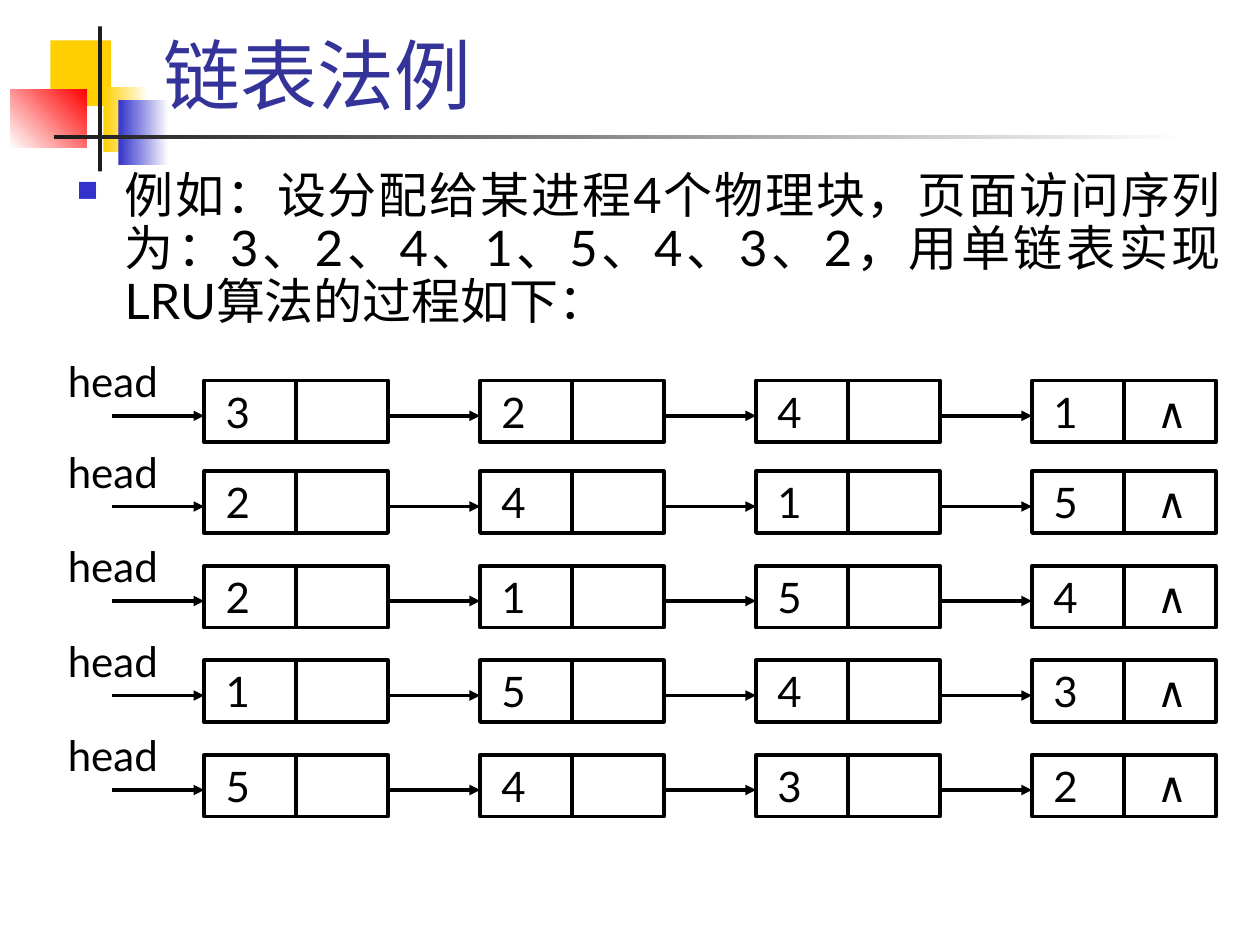
from lxml import etree
from pptx import Presentation
from pptx.dml.color import RGBColor
from pptx.enum.lang import MSO_LANGUAGE_ID
from pptx.enum.shapes import MSO_CONNECTOR, MSO_SHAPE
from pptx.enum.text import MSO_ANCHOR, PP_ALIGN
from pptx.oxml.ns import qn
from pptx.util import Inches, Pt

RECTANGLE = MSO_SHAPE.RECTANGLE
STRAIGHT = MSO_CONNECTOR.STRAIGHT
TOP, MIDDLE, BOTTOM = MSO_ANCHOR.TOP, MSO_ANCHOR.MIDDLE, MSO_ANCHOR.BOTTOM
LEFT, CENTER, JUSTIFY = PP_ALIGN.LEFT, PP_ALIGN.CENTER, PP_ALIGN.JUSTIFY
CHINESE = MSO_LANGUAGE_ID.SIMPLIFIED_CHINESE

COLORS = {
    "black": "000000", "white": "FFFFFF", "dark": "1C1C1C", "title": "333399",
    "yellow": "FFCF01", "blue": "3333CC", "red": "FF0000",
}

# The slide is a grid of 100 columns by 75 rows
CELL = 0.1

# Decoration: left, top, width, height, colours, gradient angle
DECORATION = [
    (4, 3.2, 4.8, 5.2, ["yellow"], 0),
    (8.2, 6.9, 3.6, 5.2, ["yellow", "white"], 0),
    (9.4, 7.9, 4, 5.2, ["blue", "white"], 0),
    (0.8, 7.1, 6.1, 4.6, ["white", "red"], 45),
    (7.8, 2.1, 0.3, 11.5, ["dark"], 0),
    (4.3, 10.7, 90, 0.3, ["dark", "white"], 0),
]

# Linked lists: top row of each list and its page numbers
LISTS = [
    (30.2, "3241"), (37.4, "2415"), (44.9, "2154"), (52.4, "1543"), (59.9, "5432"),
]
LIST_LEFT = 8.9
FIELD_WIDTH = 7.3  # an arrow spans one field, a node two
NODE_HEIGHT = 4.9
ARROW_DROP = 2.8


class SlideBuilder:
    font_name = "Lato"
    line_width = Pt(2)

    def __init__(self, slide):
        self.slide = slide
        self.shapes = slide.shapes

    def color(self, name):
        return RGBColor.from_string(COLORS[name])

    def grid(self, *cells):
        return [Inches(cell * CELL) for cell in cells]

    def start_group(self):
        self.shapes = self.slide.shapes.add_group_shape().shapes

    def rectangle(self, left, top, width, height):
        shape = self.shapes.add_shape(RECTANGLE, *self.grid(left, top, width, height))
        shape.shadow.inherit = False
        return shape

    def block(self, left, top, width, height, colors, angle):
        shape = self.rectangle(left, top, width, height)
        shape.line.fill.background()
        if len(colors) == 1:
            shape.fill.solid()
            shape.fill.fore_color.rgb = self.color(colors[0])
            return
        shape.fill.gradient()
        shape.fill.gradient_angle = angle
        for stop, name in zip(shape.fill.gradient_stops, colors):
            stop.color.rgb = self.color(name)

    def set_text(self, shape, text, size, color="black", align=LEFT, anchor=MIDDLE,
                 insets=(1, 0.5, 1, 0.5), wrap=True):
        frame = shape.text_frame
        frame.word_wrap = wrap
        frame.vertical_anchor = anchor
        (frame.margin_left, frame.margin_top,
         frame.margin_right, frame.margin_bottom) = self.grid(*insets)
        frame.text = text
        paragraph = frame.paragraphs[0]
        paragraph.alignment = align
        for run in paragraph.runs:
            run.font.name = self.font_name
            run.font.size = Pt(size)
            run.font.color.rgb = self.color(color)
            run.font.language_id = CHINESE
        return paragraph

    def text(self, left, top, width, height, text, size, **style):
        box = self.shapes.add_textbox(*self.grid(left, top, width, height))
        return self.set_text(box, text, size, **style)

    def bullet(self, paragraph, indent, color, percent):
        properties = paragraph._p.get_or_add_pPr()
        offset, = self.grid(indent)
        properties.set("marL", str(offset))
        properties.set("indent", str(-offset))
        bullet_color = etree.SubElement(properties, qn("a:buClr"))
        etree.SubElement(bullet_color, qn("a:srgbClr"), val=COLORS[color])
        etree.SubElement(properties, qn("a:buSzPct"), val=str(percent * 1000))
        etree.SubElement(properties, qn("a:buChar"), char="■")

    def line(self, left, top, right, bottom, arrow=False):
        connector = self.shapes.add_connector(
            STRAIGHT, *self.grid(left, top, right, bottom))
        connector.line.color.rgb = self.color("black")
        connector.line.width = self.line_width
        properties = connector._element.spPr
        if arrow:
            outline = properties.find(qn("a:ln"))
            etree.SubElement(outline, qn("a:tailEnd"), type="triangle")
        etree.SubElement(properties, qn("a:effectLst"))

    def node(self, left, top, page, is_last):
        shape = self.rectangle(left, top, 2 * FIELD_WIDTH, NODE_HEIGHT)
        shape.fill.background()
        shape.line.color.rgb = self.color("black")
        shape.line.width = self.line_width
        text = f"{page}\t∧" if is_last else page
        paragraph = self.set_text(shape, text, 24, insets=(1.7, 0.5, 0, 0.5))
        if is_last:
            tabs = etree.SubElement(paragraph._p.get_or_add_pPr(), qn("a:tabLst"))
            position, = self.grid(8.2)
            etree.SubElement(tabs, qn("a:tab"), pos=str(position), algn="l")
        middle = left + FIELD_WIDTH
        self.line(middle, top, middle, top + NODE_HEIGHT)

    def linked_list(self, top, pages):
        self.start_group()
        self.text(4.9, top - 1.4, 8.1, 2.8, "head", 24, align=CENTER,
                  insets=(0, 0, 0, 0), wrap=False)
        for index, page in enumerate(pages):
            arrow_left = LIST_LEFT + index * 3 * FIELD_WIDTH
            node_left = arrow_left + FIELD_WIDTH
            arrow_row = top + ARROW_DROP
            self.node(node_left, top, page, index == len(pages) - 1)
            self.line(arrow_left, arrow_row, node_left, arrow_row, arrow=True)


def main():
    presentation = Presentation()
    presentation.slide_width = Inches(10)
    presentation.slide_height = Inches(7.5)
    blank_layout = presentation.slide_layouts[6]
    builder = SlideBuilder(presentation.slides.add_slide(blank_layout))

    # Corner decoration
    for block in DECORATION:
        builder.block(*block)

    # Title and explanation
    builder.text(12, 1.7, 85.2, 8.3, "链表法例", 44, color="title", anchor=BOTTOM)
    explanation = builder.text(
        5.1, 13.1, 92.8, 13.8,
        "例如：设分配给某进程4个物理块，页面访问序列为：3、2、4、1、5、4、3、2，"
        "用单链表实现LRU算法的过程如下：",
        28, align=JUSTIFY, anchor=TOP)
    explanation.line_spacing = 0.9
    builder.bullet(explanation, 3.8, "blue", 60)

    # State of the list after each page access
    for top, pages in LISTS:
        builder.linked_list(top, pages)

    presentation.save("out.pptx")


if __name__ == "__main__":
    main()
